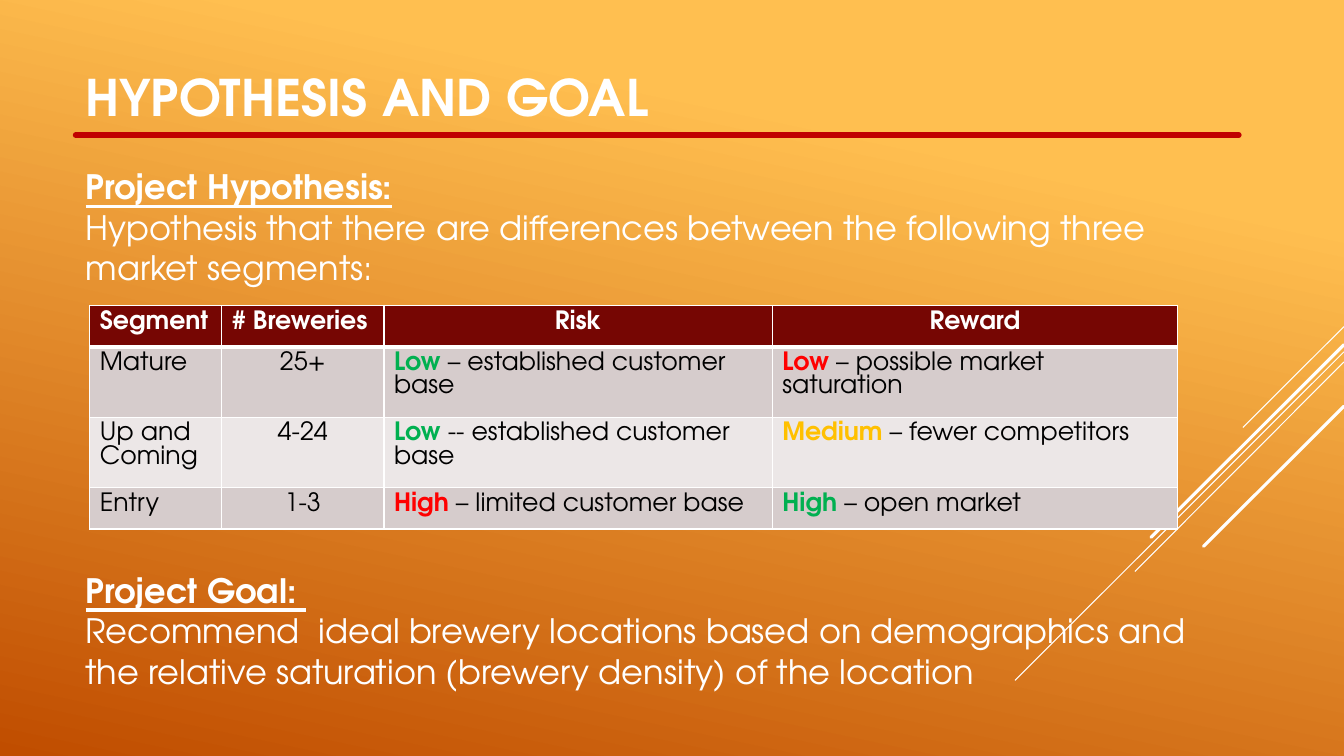
import pptx
import pptx.dml.color
import pptx.enum.dml
import pptx.enum.shapes
import pptx.enum.text
import pptx.oxml
import pptx.oxml.ns
import pptx.util
from lxml import etree

Pt = pptx.util.Pt
ALIGN = pptx.enum.text.PP_ALIGN
ANCHOR = pptx.enum.text.MSO_ANCHOR
FONT = "TeX Gyre Adventor"
COLORS = {
    "white": "FFFFFF",
    "black": "000000",
    "glow": "FFBF50",
    "ember": "C04D00",
    "rule": "C00000",
    "header": "760603",
    "band": "D6CCCC",
    "light": "ECE7E7",
    "green": "00B050",
    "red": "FF0000",
    "amber": "FFC000",
}
RAYS = [
    ((960, 233.3), (887.8, 305.3), 0.75),
    ((960, 251.3), (725, 486), 0.75),
    ((960, 258.5), (810.7, 408.2), 0.75),
    ((960, 246.2), (822.2, 383.8), 2.25),
    ((960, 290.2), (859.7, 390.2), 2.25),
]
COLUMN_WIDTHS = [94.3, 115.9, 277.4, 289.5]
ROW_HEIGHT = 29.4
HEADINGS = ["Segment", "# Breweries", "Risk", "Reward"]
SEGMENTS = [
    ("Mature", "25+",
     ("Low", "green", " – established customer base"),
     ("Low", "red", " – possible market saturation")),
    ("Up and Coming", "4-24",
     ("Low", "green", " -- established customer base"),
     ("Medium", "amber", " – fewer competitors")),
    ("Entry", "1-3",
     ("High", "red", " – limited customer base"),
     ("High", "green", " – open market")),
]


def rgb(name):
    return pptx.dml.color.RGBColor.from_string(COLORS[name])


def write(paragraph, text, size=24, color="white", bold=False, underline=False,
          align=ALIGN.LEFT, before=0):
    paragraph.alignment = align
    paragraph.space_before = Pt(before)
    run = paragraph.add_run()
    run.text = text
    run.font.name = FONT
    run.font.size = Pt(size)
    run.font.bold = bold
    run.font.underline = underline
    run.font.color.rgb = rgb(color)


def paint_background(slide):
    fill = slide.background.fill
    fill.gradient()
    fill.gradient_angle = 258
    for stop, name, position in zip(fill.gradient_stops, ("glow", "ember"), (0.22, 1)):
        stop.color.rgb = rgb(name)
        stop.position = position


def add_line(slide, start, end, color, width):
    line = slide.shapes.add_connector(
        pptx.enum.shapes.MSO_CONNECTOR.STRAIGHT,
        *(Pt(value) for value in (*start, *end)))
    line.line.color.rgb = rgb(color)
    line.line.width = Pt(width)
    if width > 1:
        line.line._get_or_add_ln().set("cap", "rnd")
    etree.SubElement(line._element.spPr, pptx.oxml.ns.qn("a:effectLst"))


def add_text_frame(slide, left, top, width, height, anchor):
    box = slide.shapes.add_textbox(Pt(left), Pt(top), Pt(width), Pt(height))
    box.text_frame.word_wrap = True
    box.text_frame.vertical_anchor = anchor
    return box.text_frame


def add_body(slide):
    frame = add_text_frame(slide, 54, 115.2, 836.6, 385.2, ANCHOR.TOP)
    sections = [
        ("Project Hypothesis:",
         "Hypothesis that there are differences between the following three market segments:"),
        ("Project Goal: ",
         "Recommend  ideal brewery locations based on demographics and "
         "the relative saturation (brewery density) of the location"),
    ]
    for index, (heading, statement) in enumerate(sections):
        paragraph = frame.add_paragraph() if index else frame.paragraphs[0]
        write(paragraph, heading, bold=True, underline=True, before=202 * index)
        write(frame.add_paragraph(), statement)


def style_cell(cell, fill, bottom):
    properties = cell._tc.get_or_add_tcPr()
    for side, width in (("L", 1), ("R", 1), ("T", 1), ("B", bottom)):
        border = etree.SubElement(
            properties, pptx.oxml.ns.qn(f"a:ln{side}"), w=str(Pt(width)))
        solid = etree.SubElement(border, pptx.oxml.ns.qn("a:solidFill"))
        etree.SubElement(solid, pptx.oxml.ns.qn("a:srgbClr"), val=COLORS["white"])
    cell.fill.solid()
    cell.fill.fore_color.rgb = rgb(fill)


def add_segment_table(slide):
    rows = [HEADINGS, *SEGMENTS]
    table = slide.shapes.add_table(
        len(rows), len(HEADINGS), Pt(64.1), Pt(218.2),
        Pt(sum(COLUMN_WIDTHS)), Pt(ROW_HEIGHT * len(rows))).table
    for column, width in zip(table.columns, COLUMN_WIDTHS):
        column.width = Pt(width)
    for row_index, row in enumerate(rows):
        header = row_index == 0
        table.rows[row_index].height = Pt(ROW_HEIGHT)
        fill = "header" if header else ("light", "band")[row_index % 2]
        for column_index, content in enumerate(row):
            cell = table.cell(row_index, column_index)
            style_cell(cell, fill, 3 if header else 1)
            paragraph = cell.text_frame.paragraphs[0]
            if isinstance(content, tuple):
                rating, color, reason = content
                write(paragraph, rating, size=18, color=color, bold=True)
                write(paragraph, reason, size=18, color="black")
            else:
                centered = column_index > 1 if header else column_index == 1
                write(paragraph, content, size=18, bold=header,
                      color="white" if header else "black",
                      align=ALIGN.CENTER if centered else ALIGN.LEFT)


def main():
    presentation = pptx.Presentation()
    presentation.slide_width = Pt(960)
    presentation.slide_height = Pt(540)
    slide = presentation.slides.add_slide(presentation.slide_layouts[6])
    paint_background(slide)
    for start, end, width in RAYS:
        add_line(slide, start, end, "white", width)
    add_body(slide)
    title = add_text_frame(slide, 54, 43.2, 830.9, 51.1, ANCHOR.MIDDLE)
    write(title.paragraphs[0], "HYPOTHESIS AND GOAL", size=36, bold=True)
    add_line(slide, (54, 96.5), (884.9, 96.5), "rule", 4)
    add_segment_table(slide)
    presentation.save("out.pptx")


if __name__ == "__main__":
    main()
